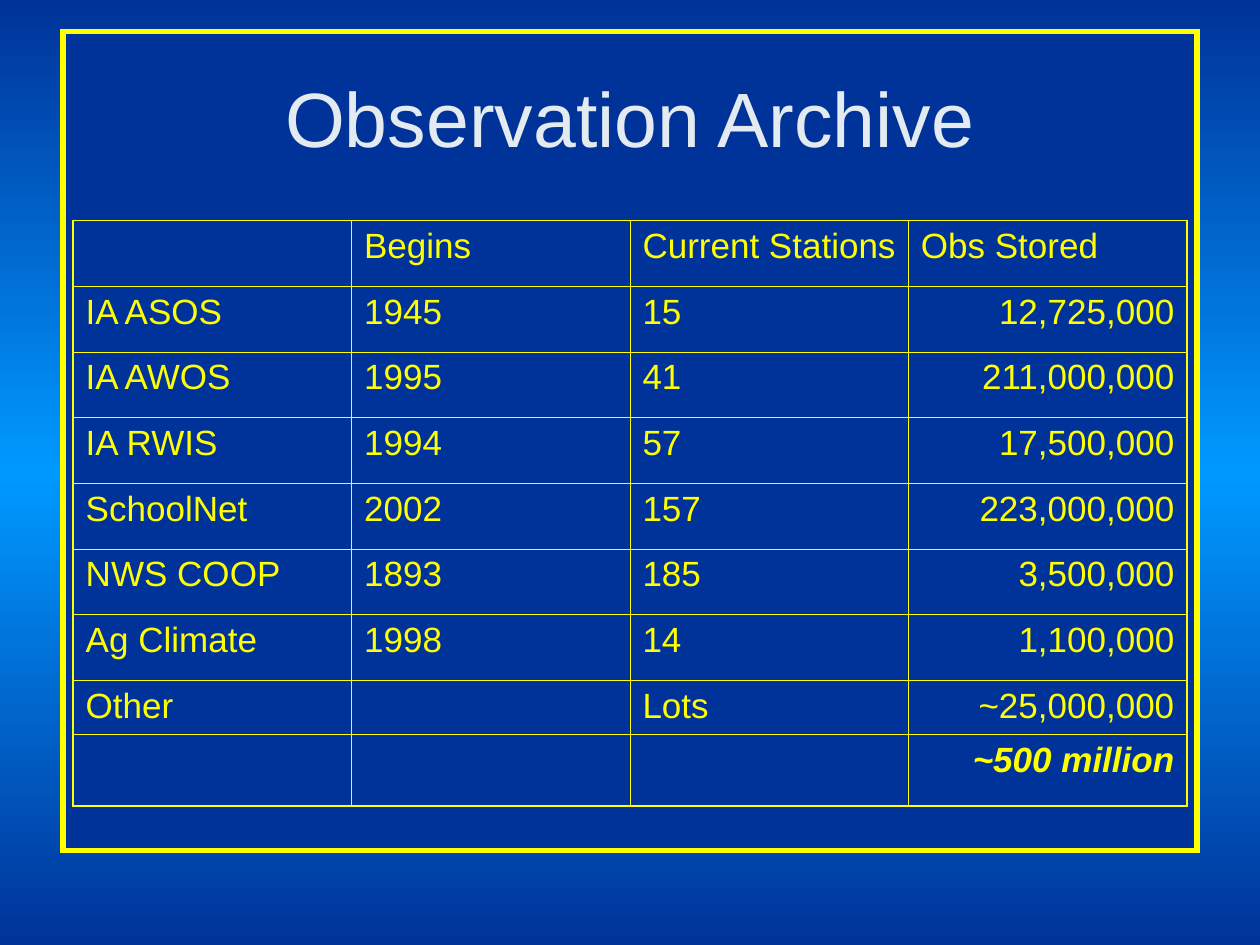
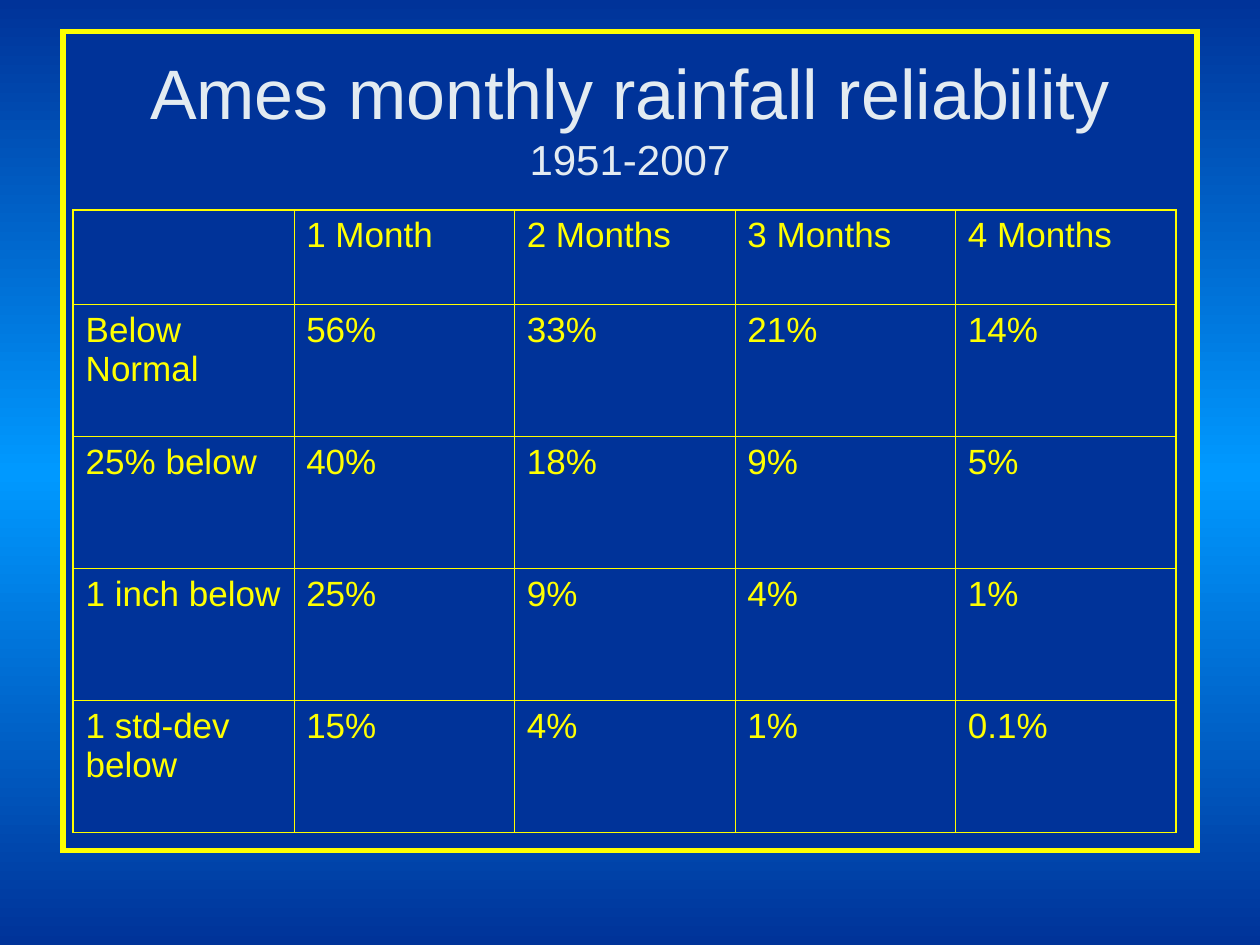
from collections import namedtuple
from copy import deepcopy

from lxml.etree import SubElement
from pptx import Presentation
from pptx.dml.color import RGBColor
from pptx.enum.shapes import MSO_SHAPE
from pptx.enum.text import MSO_ANCHOR, MSO_AUTO_SIZE, PP_ALIGN
from pptx.oxml.ns import qn
from pptx.util import Pt

Box = namedtuple("Box", "left top width height")

FONT = "Arial"
NAVY, SKY, YELLOW, PALE = "003399", "0099FF", "FFFF00", "E3EBF1"
FRAME = Box(36, 18, 648, 468)
TITLE_LAYOUT = 5
TABLE_INDENT = 5.9
CELL_MARGIN = 7.09
OUTER_LINE, INNER_LINE = 1.08, 0.45

ARCHIVE = [
    ["", "Begins", "Current Stations", "Obs Stored"],
    ["IA ASOS", "1945", "15", "12,725,000"],
    ["IA AWOS", "1995", "41", "211,000,000"],
    ["IA RWIS", "1994", "57", "17,500,000"],
    ["SchoolNet", "2002", "157", "223,000,000"],
    ["NWS COOP", "1893", "185", "3,500,000"],
    ["Ag Climate", "1998", "14", "1,100,000"],
    ["Other", "", "Lots", "~25,000,000"],
    ["", "", "", "~500 million"],
]
RAINFALL = [
    ["", "1 Month", "2 Months", "3 Months", "4 Months"],
    ["Below Normal", "56%", "33%", "21%", "14%"],
    ["25% below", "40%", "18%", "9%", "5%"],
    ["1 inch below", "25%", "9%", "4%", "1%"],
    ["1 std-dev below", "15%", "4%", "1%", "0.1%"],
]


def color(hex_string):
    return RGBColor.from_string(hex_string)


def style_font(font, size, hex_string):
    font.name = FONT
    font.size = Pt(size)
    font.color.rgb = color(hex_string)


def set_background(master):
    fill = master.background.fill
    fill.gradient()
    fill.gradient_angle = 90
    stop_list = master.element.find(".//" + qn("a:gsLst"))
    stop_list.insert(1, deepcopy(stop_list[0]))
    for stop, position, shade in zip(fill.gradient_stops, (0, 0.5, 1), (NAVY, SKY, NAVY)):
        stop.position = position
        stop.color.rgb = color(shade)


def add_frame(page, box):
    """Draw the square-cornered panel behind everything else."""
    frame = page.shapes.add_shape(MSO_SHAPE.RECTANGLE, *map(Pt, box))
    frame.shadow.inherit = False
    frame.fill.solid()
    frame.fill.fore_color.rgb = color(NAVY)
    frame.line.color.rgb = color(YELLOW)
    frame.line.width = Pt(3)
    SubElement(frame.element.find(".//" + qn("a:ln")), qn("a:miter"), lim="800000")
    frame.element.getparent().insert(2, frame.element)


def set_title(page, box, lines, sizes):
    title = page.shapes.title
    title.left, title.top, title.width, title.height = map(Pt, box)
    text_frame = title.text_frame
    text_frame.auto_size = MSO_AUTO_SIZE.NONE
    text_frame.vertical_anchor = MSO_ANCHOR.MIDDLE
    text_frame.text = "\v".join(lines)
    para = text_frame.paragraphs[0]
    para.alignment = PP_ALIGN.CENTER
    for span, size in zip(para.runs, sizes):
        style_font(span.font, size, PALE)
    for line_break in title.element.iter(qn("a:br")):
        SubElement(line_break, qn("a:rPr"), sz=str(sizes[0] * 100))


def set_borders(cell, outer_sides):
    properties = cell._tc.get_or_add_tcPr()
    for side in "LRTB":
        width = OUTER_LINE if side in outer_sides else INNER_LINE
        line = SubElement(properties, qn("a:ln" + side), w=str(Pt(width)))
        fill = SubElement(line, qn("a:solidFill"))
        SubElement(fill, qn("a:srgbClr"), val=YELLOW)


def fill_cell(cell, text):
    cell.fill.solid()
    cell.fill.fore_color.rgb = color(NAVY)
    cell.margin_left = cell.margin_right = Pt(CELL_MARGIN)
    cell.text_frame.text = text
    para = cell.text_frame.paragraphs[0]
    para.space_before = Pt(5)
    for span in para.runs:
        style_font(span.font, 20, YELLOW)


def add_grid(page, box, rows, row_heights):
    """Add a table with equal columns and a heavier outer border."""
    last_row, last_column = len(rows) - 1, len(rows[0]) - 1
    graphic = page.shapes.add_table(last_row + 1, last_column + 1, *map(Pt, box))
    table = graphic.table
    table.first_row = table.horz_banding = False
    for column in table.columns:
        column.width = Pt(box.width / (last_column + 1))
    for r, (values, height) in enumerate(zip(rows, row_heights)):
        table.rows[r].height = Pt(height)
        for c, text in enumerate(values):
            edges = {"L": c == 0, "R": c == last_column, "T": r == 0, "B": r == last_row}
            cell = table.cell(r, c)
            set_borders(cell, [side for side, is_outer in edges.items() if is_outer])
            fill_cell(cell, text)
    return table


def add_table_page(deck, title_lines, title_sizes, rows, row_heights, table_top, table_width):
    page = deck.slides.add_slide(deck.slide_layouts[TITLE_LAYOUT])
    add_frame(page, FRAME)
    set_title(page, Box(FRAME.left, FRAME.top + 3.6, FRAME.width, 90), title_lines, title_sizes)
    table_box = Box(FRAME.left + TABLE_INDENT, FRAME.top + table_top, table_width, sum(row_heights))
    return add_grid(page, table_box, rows, row_heights)


def add_archive_page(deck):
    heights = [37.54] * 7 + [31, 41]
    table = add_table_page(deck, ["Observation Archive"], [44], ARCHIVE, heights, 108, 636.4)
    last_column = len(ARCHIVE[0]) - 1
    for r in range(1, len(ARCHIVE)):
        para = table.cell(r, last_column).text_frame.paragraphs[0]
        para.alignment = PP_ALIGN.RIGHT
    total = para.runs[0].font
    total.bold = total.italic = True


def add_rainfall_page(deck):
    lines = ["Ames monthly rainfall reliability", "1951-2007"]
    add_table_page(deck, lines, [40, 24], RAINFALL, [54] + [75.45] * 4, 102, 630.2)


def main():
    deck = Presentation()
    deck.slide_width, deck.slide_height = Pt(720), Pt(540)
    set_background(deck.slide_master)
    add_archive_page(deck)
    add_rainfall_page(deck)
    deck.save("out.pptx")


if __name__ == "__main__":
    main()
